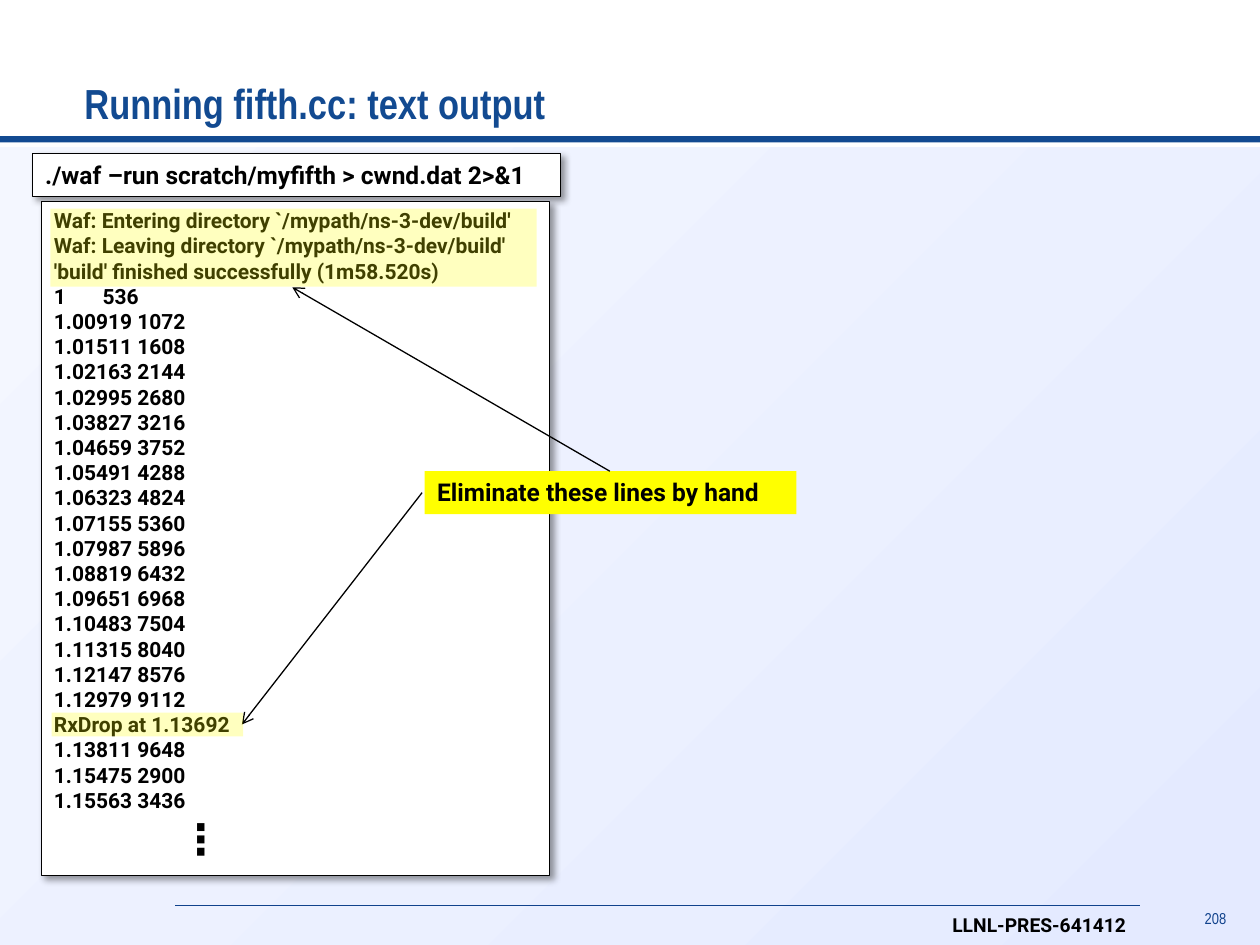
import pptx
import pptx.dml.color
import pptx.enum.shapes
import pptx.enum.text
import pptx.oxml
import pptx.oxml.ns
import pptx.util
from lxml import etree


class Theme:
    navy, rule_blue = "124A91", "10428C"
    pale, lavender = "F4F7FF", "E4EAFF"
    black, white, yellow = "000000", "FFFFFF", "FFFF00"
    heading_font, body_font = "Arial Narrow", "Roboto"
    title_size, command_size, output_size = 24, 14, 12
    footer_size, number_size, ellipsis_size = 11, 9, 24
    thin, hairline = 0.75, 0.5


NAMESPACE = pptx.oxml.ns.nsdecls("a")
COLUMNS, ROWS = 100, 75
rgb = pptx.dml.color.RGBColor.from_string
Shapes = pptx.enum.shapes.MSO_SHAPE
Anchor = pptx.enum.text.MSO_ANCHOR
Align = pptx.enum.text.PP_ALIGN

presentation = pptx.Presentation()
presentation.slide_width = pptx.util.Inches(10)
presentation.slide_height = pptx.util.Inches(7.5)
slide = presentation.slides.add_slide(presentation.slide_layouts[6])
column = presentation.slide_width / COLUMNS
row = presentation.slide_height / ROWS


def add_box(left, top, width, height, fill=None, line=None, lines=(), size=12,
            font=Theme.body_font, color=Theme.black, bold=True,
            anchor=Anchor.TOP, align=Align.LEFT, left_inset=1):
    """Add a rectangle, or a text box if it has no fill, placed in grid units."""
    place = [round(left * column), round(top * row),
             round(width * column), round(height * row)]
    if fill:
        shape = slide.shapes.add_shape(Shapes.RECTANGLE, *place)
        shape.shadow.inherit = False
        shape.fill.solid()
        shape.fill.fore_color.rgb = rgb(fill)
        if line:
            shape.line.color.rgb = rgb(line)
            shape.line.width = pptx.util.Pt(Theme.thin)
        else:
            shape.line.fill.background()
    else:
        shape = slide.shapes.add_textbox(*place)
    frame = shape.text_frame
    frame.word_wrap = True
    frame.vertical_anchor = anchor
    frame.margin_left = round(left_inset * column)
    for index, text in enumerate(lines):
        paragraph = frame.paragraphs[0] if index == 0 else frame.add_paragraph()
        paragraph.text = text
        paragraph.alignment = align
        if "\t" in text:
            stop = round((10 if text.startswith("\t") else 3.87) * column)
            paragraph._p.get_or_add_pPr().append(pptx.oxml.parse_xml(
                f'<a:tabLst {NAMESPACE}><a:tab pos="{stop}" algn="l"/></a:tabLst>'))
        paragraph.font.size = pptx.util.Pt(size)
        paragraph.font.name = font
        paragraph.font.bold = bold
        paragraph.font.color.rgb = rgb(color)
    return shape


def add_line(start, end, color, width, arrow=False):
    connector = slide.shapes.add_connector(
        pptx.enum.shapes.MSO_CONNECTOR.STRAIGHT,
        round(start[0] * column), round(start[1] * row),
        round(end[0] * column), round(end[1] * row))
    connector.line.color.rgb = rgb(color)
    connector.line.width = pptx.util.Pt(width)
    if arrow:
        connector.line._get_or_add_ln().append(
            pptx.oxml.parse_xml(f'<a:tailEnd {NAMESPACE} type="arrow"/>'))
    etree.SubElement(connector._element.spPr, pptx.oxml.ns.qn("a:effectLst"))


# Background, header rule and footer
backdrop = add_box(0, 11.7, COLUMNS, ROWS - 11.7, Theme.white)
backdrop.fill.gradient()
backdrop.fill.gradient_angle = 315
for stop, color, position in zip(backdrop.fill.gradient_stops,
                                 (Theme.pale, Theme.lavender), (0, 1)):
    stop.color.rgb = rgb(color)
    stop.position = position
for half in range(2):
    add_box(half * COLUMNS / 2, 10.8, COLUMNS / 2, 0.5, Theme.navy)
add_line((13.9, 71.9), (90.5, 71.9), Theme.rule_blue, Theme.hairline)
page_number = add_box(94.9, 72, 3.4, 2.2, lines=["208"], size=Theme.number_size,
                      font=Theme.heading_font, color=Theme.rule_blue, bold=False,
                      align=Align.RIGHT, left_inset=0)
page_number.text_frame.paragraphs[0].line_spacing = 0.75
add_box(74.6, 72, 16.3, 2.9, lines=["LLNL-PRES-641412"], size=Theme.footer_size)

add_box(6.7, 1.7, 86.9, 8.9, lines=["Running fifth.cc: text output"],
        size=Theme.title_size, font=Theme.heading_font, color=Theme.navy,
        anchor=Anchor.BOTTOM, left_inset=0)

# Command and its output
output_lines = """Waf: Entering directory `/mypath/ns-3-dev/build'
Waf: Leaving directory `/mypath/ns-3-dev/build'
'build' finished successfully (1m58.520s)
1\t536
1.00919 1072
1.01511 1608
1.02163 2144
1.02995 2680
1.03827 3216
1.04659 3752
1.05491 4288
1.06323 4824
1.07155 5360
1.07987 5896
1.08819 6432
1.09651 6968
1.10483 7504
1.11315 8040
1.12147 8576
1.12979 9112
RxDrop at 1.13692
1.13811 9648
1.15475 2900
1.15563 3436
\t⋮""".split("\n")
command = add_box(2.6, 12.2, 41.9, 3.4, Theme.white, Theme.black,
                  ["./waf –run scratch/myfifth > cwnd.dat 2>&1"],
                  Theme.command_size)
output = add_box(3.3, 16, 40.3, 53.5, Theme.white, Theme.black, output_lines,
                 Theme.output_size)
output.text_frame.paragraphs[-1].font.size = pptx.util.Pt(Theme.ellipsis_size)
for panel in (command, output):
    effects = panel._element.spPr.find(pptx.oxml.ns.qn("a:effectLst"))
    effects.append(pptx.oxml.parse_xml(
        f'<a:outerShdw {NAMESPACE} blurRad="{pptx.util.Pt(4)}" '
        f'dist="{pptx.util.Pt(3)}" dir="2700000" algn="tl" rotWithShape="0">'
        f'<a:srgbClr val="{Theme.black}"><a:alpha val="40000"/></a:srgbClr>'
        '</a:outerShdw>'))

# Lines to remove
add_box(33.7, 37.4, 29.5, 3.4, Theme.yellow,
        lines=["Eliminate these lines by hand"], size=Theme.command_size)
for start, end in [((48.4, 37.4), (23.2, 22.8)), ((33.5, 39.1), (19.2, 57.5))]:
    add_line(start, end, Theme.black, Theme.thin, arrow=True)
line_pitch = 2
for first_line, left, width, height in [(0, 4, 38.6, 6.2), (20, 4.1, 15.2, 1.9)]:
    highlight = add_box(left, 16.55 + first_line * line_pitch, width, height,
                        Theme.yellow)
    tint = highlight.fill._xPr.find(".//" + pptx.oxml.ns.qn("a:srgbClr"))
    etree.SubElement(tint, pptx.oxml.ns.qn("a:alpha"), val="25000")

presentation.save("out.pptx")
